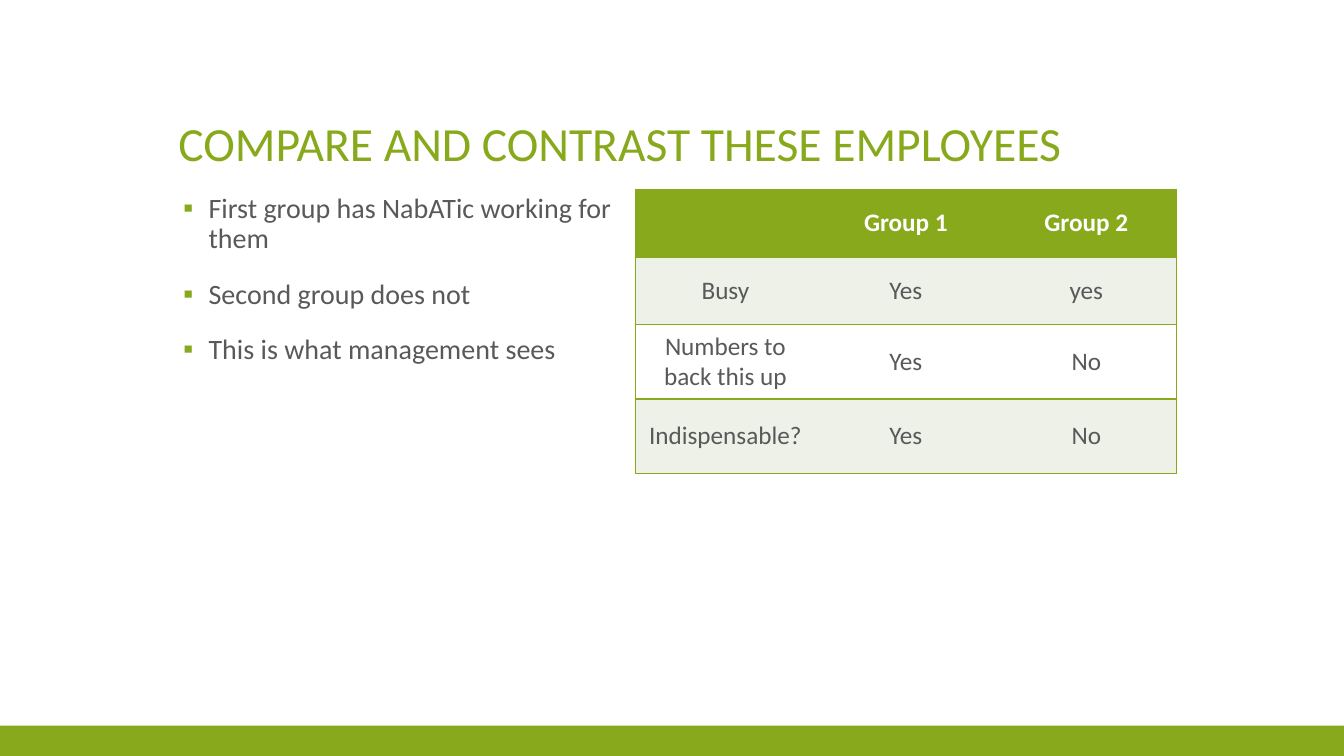
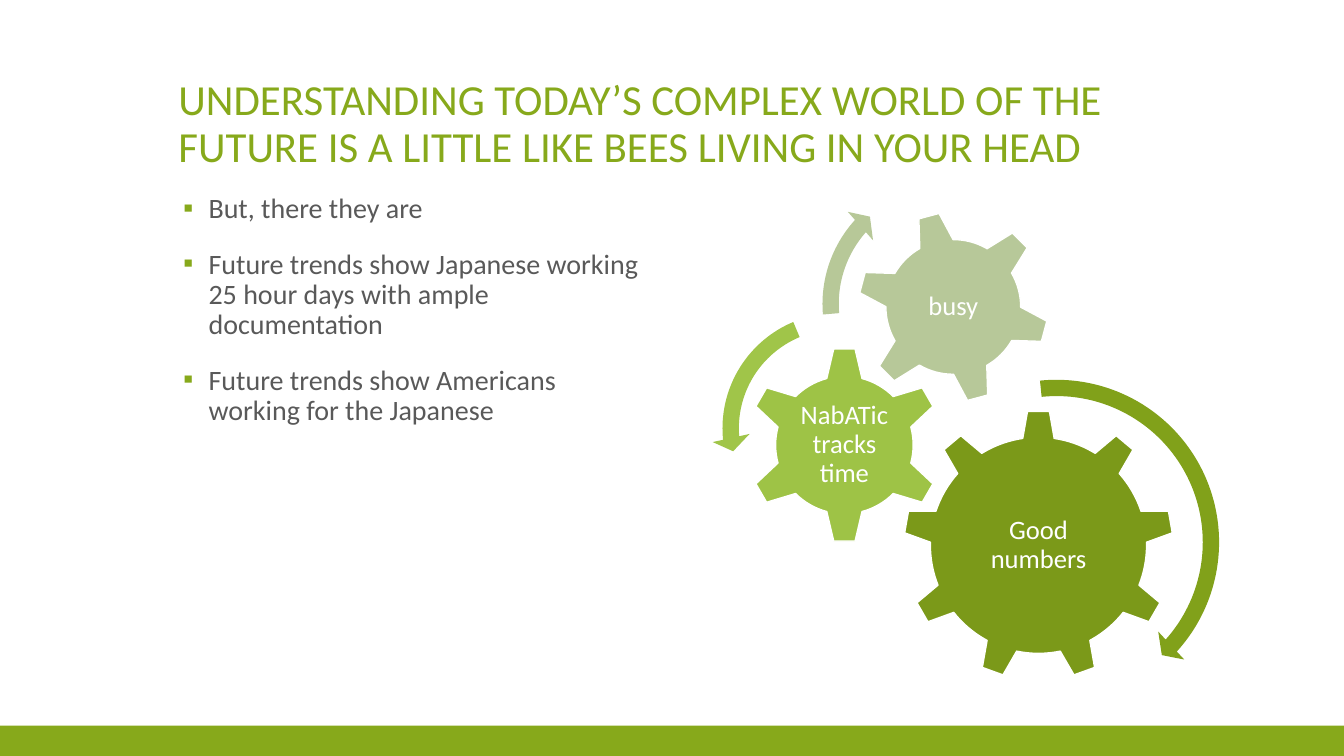
from dataclasses import dataclass

import lxml.etree
import pptx
import pptx.dml.color
import pptx.enum.shapes
import pptx.enum.text
import pptx.oxml.ns
import pptx.util

Inches = pptx.util.Inches
SHAPE = pptx.enum.shapes.MSO_SHAPE
ANCHOR = pptx.enum.text.MSO_ANCHOR
ALIGN = pptx.enum.text.PP_ALIGN
qn = pptx.oxml.ns.qn


@dataclass(frozen=True)
class Theme:
    font: str = "Calibri"
    green: str = "87A91B"
    grey: str = "595959"
    white: str = "FFFFFF"
    row_tint: str = "EDF1E8"
    gear_dark: str = "7B9919"
    gear_bright: str = "9EC346"
    gear_pale: str = "B7C899"
    arrow_dark: str = "81A11A"
    arrow_bright: str = "A0C549"
    arrow_pale: str = "B7C898"
    title_size: float = 34
    long_title_size: float = 30.6
    body_size: float = 20
    gear_size: float = 19
    table_size: float = 18


@dataclass(frozen=True)
class Box:
    left: float
    top: float
    width: float
    height: float

    def inches(self):
        return [Inches(v) for v in (self.left, self.top, self.width, self.height)]

    def inner(self, left, top, width, height):
        """Return a box whose corner is given relative to this one."""
        return Box(self.left + left, self.top + top, width, height)

    def centred(self, width, height):
        return self.inner((self.width - width) / 2, (self.height - height) / 2,
                          width, height)


THEME = Theme()
SLIDE = Box(0, 0, 13.33, 7.5)
BAND = Box(0, 7.2, SLIDE.width, 0.3)
TITLE = Box(1.67, 0.5, 10, 1.25)
BODY = Box(1.67, 1.88, 4.85, 4.88)
COMPARISON = Box(6.3, 1.88, 5.37, 2.82)
GEARS = Box(7, 1.6, 5.2, 5.5)


def rgb(colour):
    return pptx.dml.color.RGBColor.from_string(colour)


def add_bullet(paragraph, colour):
    properties = paragraph._p.get_or_add_pPr()
    properties.set("marL", str(Inches(0.3)))
    properties.set("indent", str(Inches(-0.25)))
    bullet_colour = lxml.etree.SubElement(properties, qn("a:buClr"))
    lxml.etree.SubElement(bullet_colour, qn("a:srgbClr"), val=colour)
    lxml.etree.SubElement(properties, qn("a:buFont"), typeface=THEME.font)
    lxml.etree.SubElement(properties, qn("a:buChar"), char="▪")


def write_text(frame, *lines, size, colour, bold=False, align=ALIGN.LEFT,
               spacing=0.9, before=0, bullet=None):
    """Fill a text frame with one paragraph per line."""
    frame.word_wrap = True
    for index, line in enumerate(lines):
        paragraph = frame.add_paragraph() if index else frame.paragraphs[0]
        paragraph.alignment = align
        paragraph.line_spacing = spacing
        paragraph.space_before = pptx.util.Pt(before)
        if bullet:
            add_bullet(paragraph, bullet)
        run = paragraph.add_run()
        run.text = line
        run.font.name = THEME.font
        run.font.size = pptx.util.Pt(size)
        run.font.bold = bold
        run.font.color.rgb = rgb(colour)


def add_figure(shapes, preset, box, fill, outline=None):
    figure = shapes.add_shape(preset, *box.inches())
    figure.shadow.inherit = False
    figure.fill.solid()
    figure.fill.fore_color.rgb = rgb(fill)
    if outline:
        figure.line.color.rgb = rgb(outline)
        figure.line.width = pptx.util.Pt(1)
    else:
        figure.line.fill.background()
    return figure


def move_band_to_layout(slide, layout):
    """Draw the foot band once, on the layout that all slides use."""
    band = add_figure(slide.shapes, SHAPE.RECTANGLE, BAND, THEME.green)
    layout.shapes.element.append(band.element)


def add_title(slide, text, size):
    title = slide.shapes.title
    title.left, title.top, title.width, title.height = TITLE.inches()
    title.text_frame.auto_size = pptx.enum.text.MSO_AUTO_SIZE.NONE
    title.text_frame.vertical_anchor = ANCHOR.BOTTOM
    write_text(title.text_frame, text, size=size, colour=THEME.green)


def add_bullets(slide, box, lines):
    body = slide.shapes.add_textbox(*box.inches())
    write_text(body.text_frame, *lines, size=THEME.body_size, colour=THEME.grey,
               before=18, bullet=THEME.green)


def set_borders(cell, drawn):
    """Draw the edges named in drawn and clear the others."""
    properties = cell._tc.get_or_add_tcPr()
    for edge in "LRTB":
        line = lxml.etree.SubElement(properties, qn(f"a:ln{edge}"),
                                     w=str(pptx.util.Pt(1)))
        if edge in drawn:
            fill = lxml.etree.SubElement(line, qn("a:solidFill"))
            lxml.etree.SubElement(fill, qn("a:srgbClr"), val=THEME.green)
        else:
            lxml.etree.SubElement(line, qn("a:noFill"))


def add_comparison(slide, box, rows, heights):
    last = len(rows[0]) - 1
    table = slide.shapes.add_table(len(rows), last + 1, *box.inches()).table
    for column in table.columns:
        column.width = Inches(box.width / (last + 1))
    for r, (row, height) in enumerate(zip(rows, heights)):
        table.rows[r].height = Inches(height)
        header = r == 0
        fill = THEME.green if header else THEME.row_tint if r % 2 else THEME.white
        for c, text in enumerate(row):
            cell = table.cell(r, c)
            set_borders(cell, "TB" + "L" * (c == 0) + "R" * (c == last))
            cell.fill.solid()
            cell.fill.fore_color.rgb = rgb(fill)
            cell.vertical_anchor = ANCHOR.MIDDLE
            if text:
                write_text(cell.text_frame, text, size=THEME.table_size,
                           colour=THEME.white if header else THEME.grey,
                           bold=header, align=ALIGN.CENTER, spacing=1.0)


def add_gear(shapes, preset, box, label, label_size, fill, rotation=0):
    gear = add_figure(shapes, preset, box, fill, outline=THEME.white)
    gear.rotation = rotation
    caption = shapes.add_textbox(*box.centred(*label_size).inches()).text_frame
    caption.vertical_anchor = ANCHOR.MIDDLE
    caption.margin_left = caption.margin_right = Inches(0.03)
    caption.margin_top = caption.margin_bottom = Inches(0.03)
    write_text(caption, label, size=THEME.gear_size, colour=THEME.white,
               align=ALIGN.CENTER)


def add_turn_arrow(shapes, preset, box, fill, adjustments):
    arrow = add_figure(shapes, preset, box, fill)
    for index, value in enumerate(adjustments):
        arrow.adjustments[index] = value


def add_gear_train(slide, box):
    shapes = slide.shapes.add_group_shape().shapes
    add_gear(shapes, SHAPE.GEAR_9, box.inner(1.96, 2.47, 2.68, 2.68),
             "Good numbers", (1.6, 1.38), THEME.gear_dark)
    add_gear(shapes, SHAPE.GEAR_6, box.inner(0.4, 1.84, 1.95, 1.95),
             "NabATic tracks time", (0.97, 0.96), THEME.gear_bright)
    add_gear(shapes, SHAPE.GEAR_6, box.inner(1.5, 0.49, 1.91, 1.91),
             "busy", (1.07, 1.07), THEME.gear_pale, rotation=345)
    add_turn_arrow(shapes, SHAPE.CIRCULAR_ARROW, box.inner(1.76, 2.06, 3.44, 3.44),
                   THEME.arrow_dark, (0.047, 2.99, 25.22, 158.48, 0.055))
    add_turn_arrow(shapes, SHAPE.LEFT_CIRCULAR_ARROW, box.inner(0.06, 1.4, 2.5, 2.5),
                   THEME.arrow_bright, (0.065, 4.3, 104.89, 148.38, 0.075))
    add_turn_arrow(shapes, SHAPE.CIRCULAR_ARROW, box.inner(1.05, 0.07, 2.69, 2.69),
                   THEME.arrow_pale, (0.06, 3.94, 133.14, 105.08, 0.07))


def build_employees(slide):
    add_title(slide, "COMPARE AND CONTRAST THESE EMPLOYEES", THEME.title_size)
    add_bullets(slide, BODY, ["First group has NabATic working for them",
                              "Second group does not",
                              "This is what management sees"])
    add_comparison(slide, COMPARISON, [["", "Group 1", "Group 2"],
                                       ["Busy", "Yes", "yes"],
                                       ["Numbers to back this up", "Yes", "No"],
                                       ["Indispensable?", "Yes", "No"]],
                   heights=(0.67, 0.67, 0.74, 0.74))


def build_future(slide):
    add_title(slide, "UNDERSTANDING TODAY’S COMPLEX WORLD OF THE FUTURE "
                     "IS A LITTLE LIKE BEES LIVING IN YOUR HEAD",
              THEME.long_title_size)
    add_bullets(slide, BODY, [
        "But, there they are",
        "Future trends show Japanese working 25 hour days with ample documentation",
        "Future trends show Americans working for the Japanese"])
    add_gear_train(slide, GEARS)


def main():
    deck = pptx.Presentation()
    deck.slide_width, deck.slide_height = Inches(SLIDE.width), Inches(SLIDE.height)
    title_only = deck.slide_layouts[5]
    employees = deck.slides.add_slide(title_only)
    move_band_to_layout(employees, title_only)
    build_employees(employees)
    build_future(deck.slides.add_slide(title_only))
    deck.save("out.pptx")


if __name__ == "__main__":
    main()
